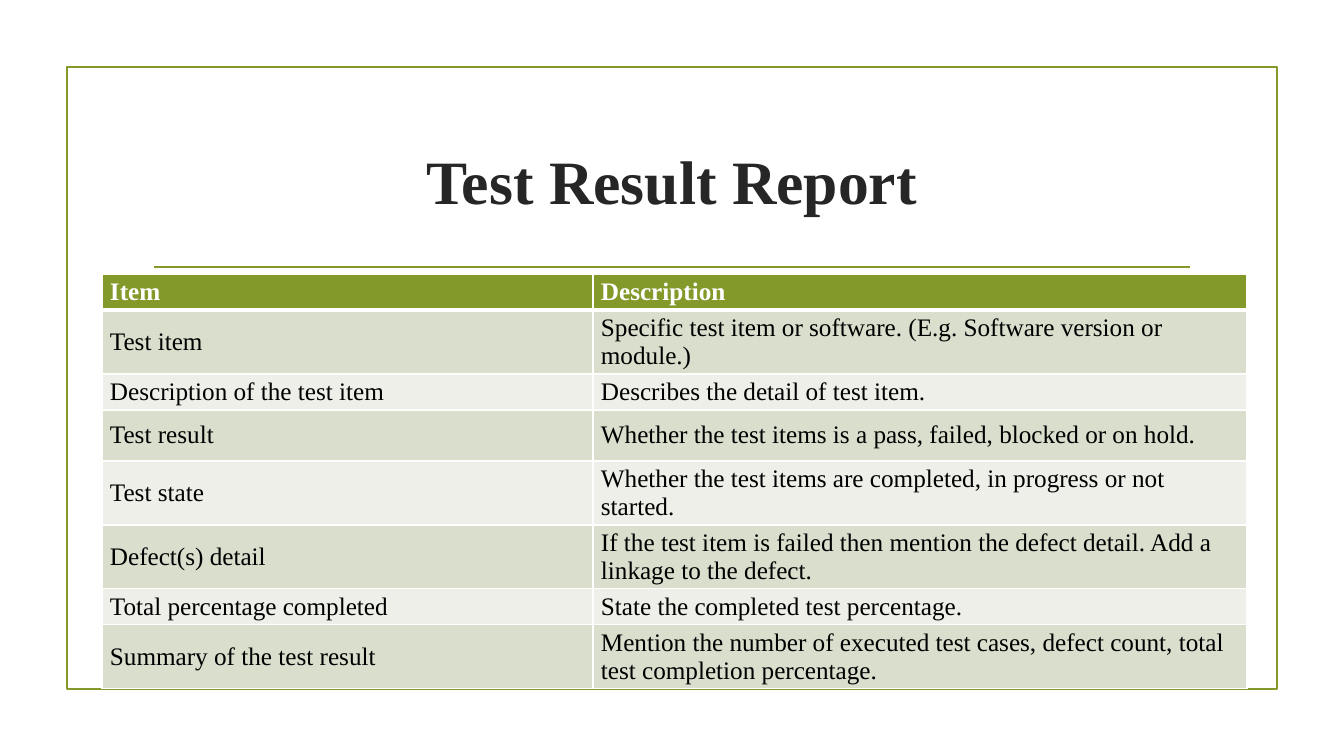
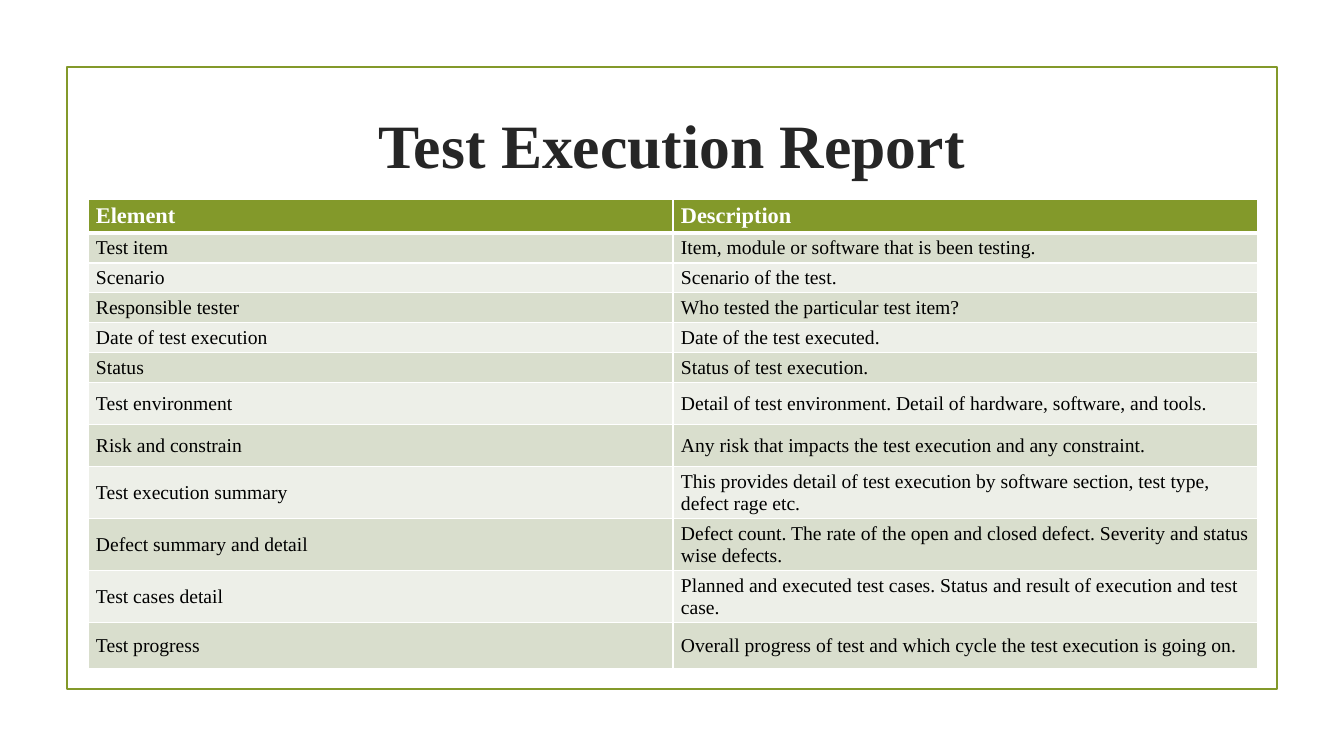
import itertools

import lxml.etree
import pptx
import pptx.dml.color
import pptx.enum.shapes
import pptx.enum.text
import pptx.oxml.ns
import pptx.util

PX = 914400 / 100.8
FONT = "Times New Roman"
GREEN, INK, BLACK, WHITE = "83992A", "262626", "000000", "FFFFFF"
BANDS = ("D9DECD", "EDEFE8")
FRAME_BOX = (67, 67, 1210, 622)
TITLE_BOX = (143, 108, 1058, 144)

RESULT_ROWS = [
    (36, "Item", "Description"),
    (64, "Test item", "Specific test item or software. (E.g. Software version or module.)"),
    (36, "Description of the test item", "Describes the detail of test item."),
    (51, "Test result", "Whether the test items is a pass, failed, blocked or on hold."),
    (64, "Test state", "Whether the test items are completed, in progress or not started."),
    (64, "Defect(s) detail",
     "If the test item is failed then mention the defect detail. Add a linkage to the defect."),
    (36, "Total percentage completed", "State the completed test percentage."),
    (64, "Summary of the test result",
     "Mention the number of executed test cases, defect count, total test completion percentage."),
]

EXECUTION_ROWS = [
    (34, "Element", "Description"),
    (30, "Test item", "Item, module or software that is been testing."),
    (30, "Scenario", "Scenario of the test."),
    (30, "Responsible tester", "Who tested the particular test item?"),
    (30, "Date of test execution", "Date of the test executed."),
    (30, "Status", "Status of test execution."),
    (42, "Test environment", "Detail of test environment. Detail of hardware, software, and tools."),
    (42, "Risk and constrain", "Any risk that impacts the test execution and any constraint."),
    (52, "Test execution summary",
     "This provides detail of test execution by software section, test type, defect rage etc."),
    (52, "Defect summary and detail",
     "Defect count. The rate of the open and closed defect. Severity and status wise defects."),
    (52, "Test cases detail",
     "Planned and executed test cases. Status and result of execution and test case."),
    (46, "Test progress",
     "Overall progress of test and which cycle the test execution is going on."),
]


def px(length):
    return pptx.util.Emu(round(length * PX))


def rgb(value):
    return pptx.dml.color.RGBColor.from_string(value)


def style_text(paragraph, size, color, bold):
    for run in paragraph.runs:
        run.font.name = FONT
        run.font.size = pptx.util.Pt(size)
        run.font.bold = bold
        run.font.color.rgb = rgb(color)


def style_line(line):
    line.color.rgb = rgb(GREEN)
    line.width = pptx.util.Pt(1.25)


def add_frame(slide, box):
    frame = slide.shapes.add_shape(
        pptx.enum.shapes.MSO_SHAPE.RECTANGLE, *map(px, box))
    frame.shadow.inherit = False
    frame.fill.background()
    style_line(frame.line)


def add_title(slide, text, box):
    title = slide.shapes.title
    title.left, title.top, title.width, title.height = map(px, box)
    frame = title.text_frame
    frame.text = text
    frame.word_wrap = True
    frame.auto_size = pptx.enum.text.MSO_AUTO_SIZE.NONE
    frame.vertical_anchor = pptx.enum.text.MSO_ANCHOR.MIDDLE
    frame.margin_top = frame.margin_bottom = 0
    frame.paragraphs[0].alignment = pptx.enum.text.PP_ALIGN.CENTER
    style_text(frame.paragraphs[0], 44, INK, True)


def add_title_rule(slide, box):
    left, top, width, height = box
    y = top + height + 15
    rule = slide.shapes.add_connector(
        pptx.enum.shapes.MSO_CONNECTOR.STRAIGHT,
        px(left + 11), px(y), px(left + width - 11), px(y))
    style_line(rule.line)
    lxml.etree.SubElement(
        rule._element.spPr, pptx.oxml.ns.qn("a:effectLst"))


def set_borders(cell, top, bottom):
    properties = cell._tc.get_or_add_tcPr()
    widths = {"lnL": 1, "lnR": 1, "lnT": top, "lnB": bottom}
    for position, (side, width) in enumerate(widths.items()):
        border = lxml.etree.Element(
            pptx.oxml.ns.qn(f"a:{side}"), w=str(pptx.util.Pt(width)))
        fill = lxml.etree.SubElement(border, pptx.oxml.ns.qn("a:solidFill"))
        lxml.etree.SubElement(fill, pptx.oxml.ns.qn("a:srgbClr"), val=WHITE)
        properties.insert(position, border)


def fill_cell(cell, text, size, color, bold, background):
    cell.text_frame.text = text
    cell.vertical_anchor = pptx.enum.text.MSO_ANCHOR.MIDDLE
    cell.margin_left = cell.margin_right = px(8)
    cell.margin_top = cell.margin_bottom = px(4)
    cell.fill.solid()
    cell.fill.fore_color.rgb = rgb(background)
    style_text(cell.text_frame.paragraphs[0], size, color, bold)


def add_report_table(slide, left, top, columns, rows, header_size, body_size):
    height = sum(row[0] for row in rows)
    table = slide.shapes.add_table(
        len(rows), len(columns),
        px(left), px(top), px(sum(columns)), px(height)).table
    table.horz_banding = False
    for column, width in zip(table.columns, columns):
        column.width = px(width)
    bands = itertools.cycle(BANDS)
    for index, (row_height, *texts) in enumerate(rows):
        table.rows[index].height = px(row_height)
        if index == 0:
            look = (header_size, WHITE, True, GREEN)
        else:
            look = (body_size, BLACK, False, next(bands))
        for cell, text in zip(table.rows[index].cells, texts):
            fill_cell(cell, text, *look)
            set_borders(cell, 3 if index == 1 else 1, 3 if index == 0 else 1)


def add_report_slide(deck, title, title_box):
    slide = deck.slides.add_slide(deck.slide_layouts[5])
    add_frame(slide, FRAME_BOX)
    add_title(slide, title, title_box)
    return slide


def main():
    deck = pptx.Presentation()
    deck.slide_width, deck.slide_height = px(1344), px(756)

    result = add_report_slide(deck, "Test Result Report", TITLE_BOX)
    add_title_rule(result, TITLE_BOX)
    add_report_table(result, 102, 274, (491, 654), RESULT_ROWS, 18, 18)

    left, top, width, height = TITLE_BOX
    execution = add_report_slide(
        deck, "Test Execution Report", (left, top, width, height // 2))
    add_report_table(execution, 88, 199, (585, 585), EXECUTION_ROWS, 16, 14)

    deck.save("out.pptx")


if __name__ == "__main__":
    main()
